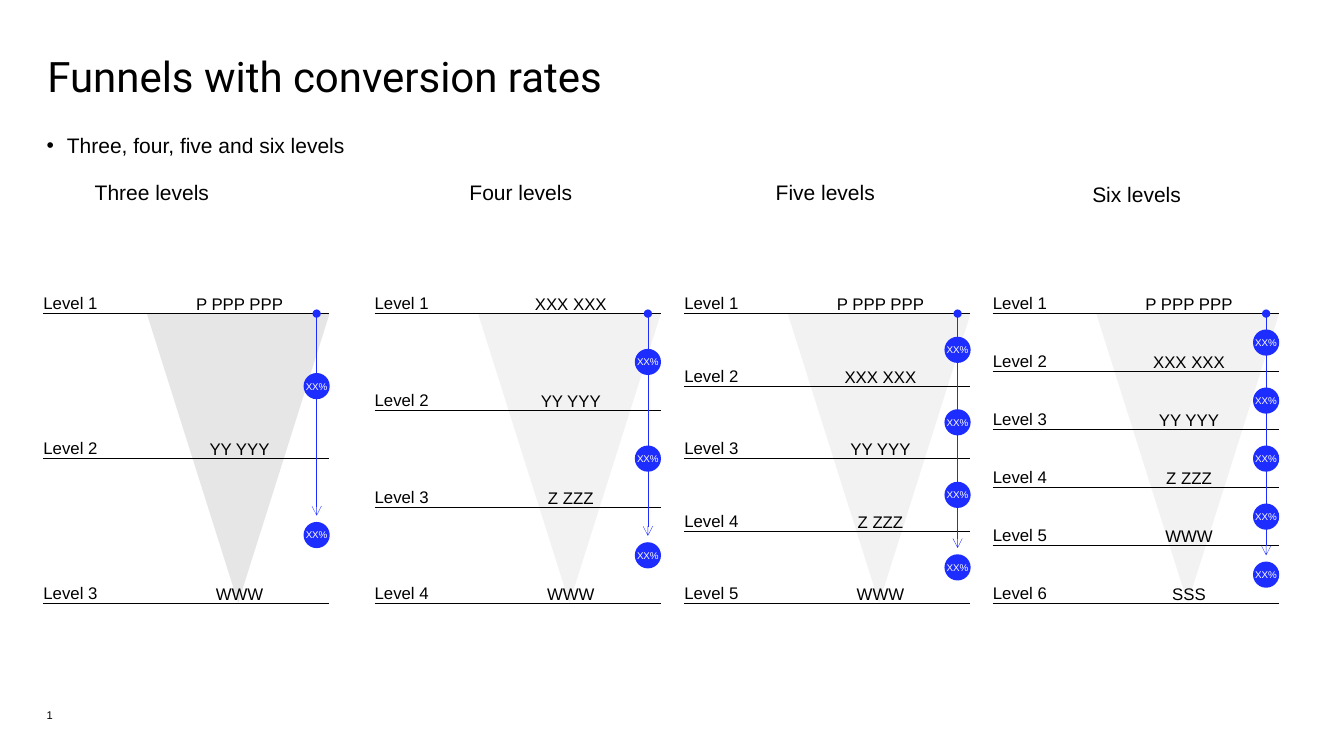
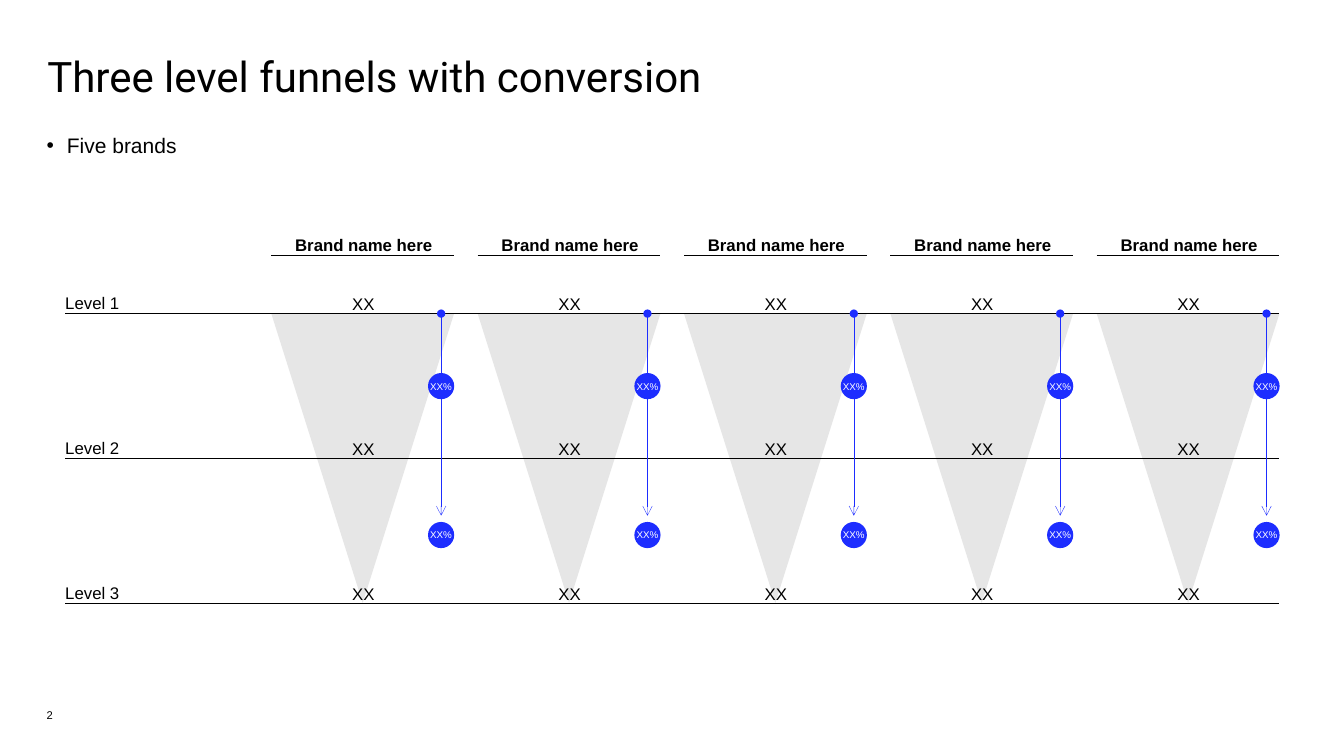
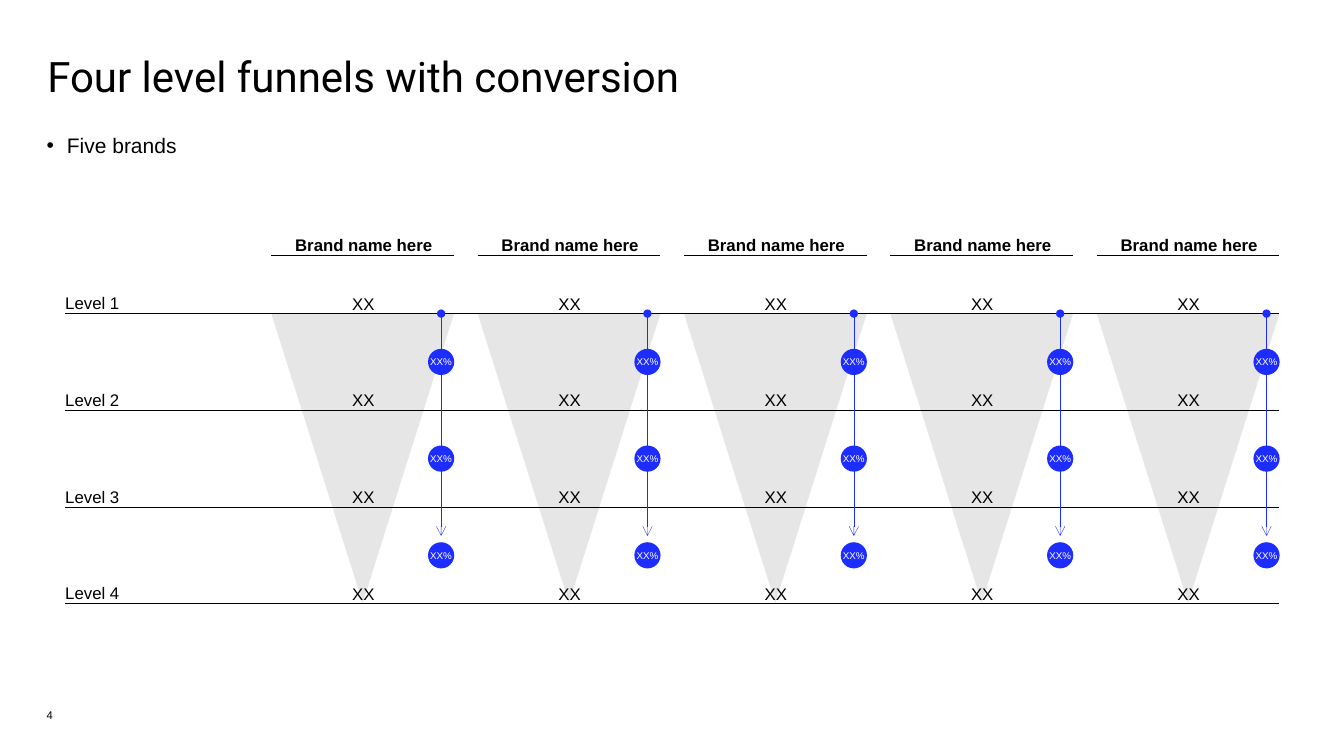
from dataclasses import dataclass

from lxml.etree import SubElement
from pptx import Presentation
from pptx.dml.color import RGBColor
from pptx.enum.shapes import MSO_CONNECTOR, MSO_SHAPE
from pptx.enum.text import MSO_ANCHOR, MSO_AUTO_SIZE, PP_ALIGN
from pptx.oxml.ns import qn
from pptx.util import Pt

LEFT, CENTER = PP_ALIGN.LEFT, PP_ALIGN.CENTER
TOP, MIDDLE, BOTTOM = MSO_ANCHOR.TOP, MSO_ANCHOR.MIDDLE, MSO_ANCHOR.BOTTOM
NO_AUTOFIT = MSO_AUTO_SIZE.NONE
STRAIGHT = MSO_CONNECTOR.STRAIGHT
TRIANGLE, OVAL = MSO_SHAPE.ISOSCELES_TRIANGLE, MSO_SHAPE.OVAL

BLACK, WHITE, BLUE = "000000", "FFFFFF", "1D2DFF"
GREY, LIGHT_GREY = "E6E6E6", "F2F2F2"
TITLE_FONT, BODY_FONT = "Roboto", "Arial"
PLAIN_TABLE_STYLE = "{2D5ABB26-0587-4C30-8999-92F81FD0307C}"

FUNNEL_TOP, FUNNEL_BOTTOM = 224, 431.2
FUNNEL_WIDTH, FUNNEL_HEIGHT = 130.5, 206.6
ARROW_OFFSET, ARROW_GAP = 121.3, 4.5
RATE_SIZE = 18.7
LAST_RATE_DROP = {3: 2.8}
LABEL_WIDTH, LABEL_HEIGHT = 132, 14.4
LABEL_RISE, VALUE_RISE = 14.8, 14
COLUMN_WIDTH, COLUMN_FUNNEL_OFFSET = 204.2, 73.9
HEADING_WIDTH = 217
BRANDS, BRAND_LEFT, BRAND_PITCH = 5, 193.8, 147.4
BRAND_LINE = 182.2
GRID_LEFT, GRID_RIGHT = 46.6, 913.8
TABLE_LEFT = 185.8


@dataclass(frozen=True)
class FunnelColumn:
    """A funnel with its heading and the value on each level."""
    heading: str
    heading_left: float
    heading_top: float
    left: float
    fill: str
    values: tuple[str, ...]


@dataclass(frozen=True)
class BrandComparison:
    """A slide that compares brands on equal funnels."""
    title: str
    page: str
    levels: int


COLUMNS = (
    FunnelColumn("Three levels", 0, 128.3, 31, GREY, ("P PPP PPP", "YY YYY", "WWW")),
    FunnelColumn("Four levels", 263.5, 128.3, 267.6, LIGHT_GREY,
                 ("XXX XXX", "YY YYY", "Z ZZZ", "WWW")),
    FunnelColumn("Five levels", 481, 127.9, 488.8, LIGHT_GREY,
                 ("P PPP PPP", "XXX XXX", "YY YYY", "Z ZZZ", "WWW")),
    FunnelColumn("Six levels", 703.4, 129.8, 709.2, LIGHT_GREY,
                 ("P PPP PPP", "XXX XXX", "YY YYY", "Z ZZZ", "WWW", "SSS")),
)
COMPARISONS = (
    BrandComparison("Three level funnels with conversion", "2", 3),
    BrandComparison("Four level funnels with conversion", "4", 4),
)


def rgb(color: str) -> RGBColor:
    """Turn a hex string into a colour."""
    return RGBColor.from_string(color)


def level_step(levels: int) -> float:
    """Return the distance between two levels."""
    return (FUNNEL_BOTTOM - FUNNEL_TOP) / (levels - 1)


def level_lines(levels: int) -> list[float]:
    """Return the height of every level line."""
    return [FUNNEL_TOP + i * level_step(levels) for i in range(levels)]


def place(shape, left: float, top: float, width: float, height: float) -> None:
    """Move and size a shape."""
    shape.left, shape.top = Pt(left), Pt(top)
    shape.width, shape.height = Pt(width), Pt(height)


def write(frame, text: str, size: float, align=LEFT, color: str = BLACK,
          font: str = BODY_FONT, bold: bool = False):
    """Write one run into the first paragraph of a frame and return the paragraph."""
    paragraph = frame.paragraphs[0]
    paragraph.alignment = align
    run = paragraph.add_run()
    run.text = text
    run.font.size = Pt(size)
    run.font.name = font
    run.font.bold = bold
    run.font.color.rgb = rgb(color)
    return paragraph


def set_frame(frame, anchor=TOP, wrap: bool = True) -> None:
    """Give a text frame no margins, a fixed size and an anchor."""
    frame.margin_left = frame.margin_right = frame.margin_top = frame.margin_bottom = 0
    frame.auto_size = NO_AUTOFIT
    frame.word_wrap = wrap
    frame.vertical_anchor = anchor


def add_label(slide, text: str, left: float, top: float, width: float = LABEL_WIDTH,
              size: float = 12, align=LEFT, bold: bool = False) -> None:
    """Add a plain text box."""
    box = slide.shapes.add_textbox(Pt(left), Pt(top), Pt(width), Pt(LABEL_HEIGHT))
    set_frame(box.text_frame)
    write(box.text_frame, text, size, align, bold=bold)


def add_line(slide, x1: float, y1: float, x2: float, y2: float,
             color: str = BLACK, arrow: bool = False) -> None:
    """Add a hairline, with a dot and an arrowhead if it is an arrow."""
    line = slide.shapes.add_connector(STRAIGHT, Pt(x1), Pt(y1), Pt(x2), Pt(y2))
    line.line.width = Pt(0.25)
    line.line.color.rgb = rgb(color)
    properties = line.element.find(qn("p:spPr"))
    if arrow:
        outline = properties.find(qn("a:ln"))
        SubElement(outline, qn("a:headEnd"), type="oval")
        SubElement(outline, qn("a:tailEnd"), type="arrow")
    SubElement(properties, qn("a:effectLst"))


def add_filled(slide, preset, left: float, top: float, width: float, height: float, fill: str):
    """Add a preset shape with a flat fill and no outline."""
    shape = slide.shapes.add_shape(preset, Pt(left), Pt(top), Pt(width), Pt(height))
    shape.shadow.inherit = False
    shape.fill.solid()
    shape.fill.fore_color.rgb = rgb(fill)
    shape.line.fill.background()
    return shape


def add_funnel(slide, left: float, fill: str) -> None:
    """Add a triangle that points down."""
    funnel = add_filled(slide, TRIANGLE, left, FUNNEL_TOP, FUNNEL_WIDTH, FUNNEL_HEIGHT, fill)
    funnel.rotation = 180


def add_conversion(slide, funnel_left: float, levels: int) -> None:
    """Add the arrow and a rate halfway between each pair of levels."""
    x = funnel_left + ARROW_OFFSET
    centers = [y + level_step(levels) / 2 for y in level_lines(levels)[:-1]]
    centers[-1] += LAST_RATE_DROP.get(levels, 0)
    arrow_end = centers[-1] - RATE_SIZE / 2 - ARROW_GAP
    add_line(slide, x, FUNNEL_TOP, x, arrow_end, BLUE, arrow=True)
    for center in centers:
        rate = add_filled(slide, OVAL, x - RATE_SIZE / 2, center - RATE_SIZE / 2,
                          RATE_SIZE, RATE_SIZE, BLUE)
        set_frame(rate.text_frame, MIDDLE, wrap=False)
        write(rate.text_frame, "XX%", 7, CENTER, WHITE)


def add_levels(slide, left: float, right: float, levels: int) -> None:
    """Add the numbered level lines."""
    for number, y in enumerate(level_lines(levels), 1):
        add_line(slide, left, y, right, y)
        add_label(slide, f"Level {number}", left, y - LABEL_RISE)


def add_values_table(slide, levels: int) -> None:
    """Add the clear table with a value for each brand and level."""
    step = level_step(levels)
    heights = [step / 4] + [step] * (levels - 1)
    graphic = slide.shapes.add_table(levels, BRANDS, Pt(TABLE_LEFT), Pt(FUNNEL_TOP - heights[0]),
                                     Pt(BRANDS * BRAND_PITCH), Pt(sum(heights)))
    next(graphic.element.iter(qn("a:tableStyleId"))).text = PLAIN_TABLE_STYLE
    table = graphic.table
    table.first_row = table.horz_banding = False
    for column in table.columns:
        column.width = Pt(BRAND_PITCH)
    for row, height in zip(table.rows, heights):
        row.height = Pt(height)
        for cell in row.cells:
            cell.fill.background()
            cell.margin_left = cell.margin_right = Pt(7.2)
            cell.margin_top, cell.margin_bottom = Pt(2.9), 0
            cell.vertical_anchor = BOTTOM
            write(cell.text_frame, "XX", 12, CENTER)


def add_page(deck, title: str, subtitle: str, page: str):
    """Add a slide with its title, bullet and page number."""
    slide = deck.slides.add_slide(deck.slide_layouts[1])
    heading, body = slide.shapes.title, slide.placeholders[1]
    place(heading, 33.8, 40.3, 892.8, 34.6)
    set_frame(heading.text_frame)
    write(heading.text_frame, title, 30, font=TITLE_FONT).line_spacing = 0.9
    place(body, 33.4, 95, 630.7, 34.6)
    set_frame(body.text_frame)
    bullet = write(body.text_frame, subtitle, 15)
    bullet.space_before, bullet.space_after = Pt(0), Pt(10)
    properties = bullet._p.get_or_add_pPr()
    properties.set("marL", str(Pt(14.4)))
    properties.set("indent", str(Pt(-14.4)))
    SubElement(properties, qn("a:buFont"), typeface=BODY_FONT)
    SubElement(properties, qn("a:buChar"), char="•")
    add_label(slide, page, 33.4, 506.2, width=51, size=8)
    return slide


def draw_overview(deck) -> None:
    """Draw the funnels with three to six levels side by side."""
    slide = add_page(deck, "Funnels with conversion rates",
                     "Three, four, five and six levels", "1")
    for column in COLUMNS:
        levels = len(column.values)
        funnel_left = column.left + COLUMN_FUNNEL_OFFSET
        add_label(slide, column.heading, column.heading_left, column.heading_top,
                  HEADING_WIDTH, 15, CENTER)
        add_funnel(slide, funnel_left, column.fill)
        add_levels(slide, column.left, column.left + COLUMN_WIDTH, levels)
        for value, y in zip(column.values, level_lines(levels)):
            add_label(slide, value, funnel_left + 1, y - VALUE_RISE, FUNNEL_WIDTH, align=CENTER)
        add_conversion(slide, funnel_left, levels)


def draw_comparison(deck, comparison: BrandComparison) -> None:
    """Draw one funnel for each brand over shared levels."""
    slide = add_page(deck, comparison.title, "Five brands", comparison.page)
    lefts = [BRAND_LEFT + i * BRAND_PITCH for i in range(BRANDS)]
    for left in lefts:
        add_funnel(slide, left, GREY)
    add_values_table(slide, comparison.levels)
    add_levels(slide, GRID_LEFT, GRID_RIGHT, comparison.levels)
    for left in lefts:
        add_line(slide, left, BRAND_LINE, left + FUNNEL_WIDTH, BRAND_LINE)
        add_label(slide, "Brand name here", left, BRAND_LINE - LABEL_HEIGHT,
                  align=CENTER, bold=True)
        add_conversion(slide, left, comparison.levels)


def main() -> None:
    """Build and save the deck."""
    deck = Presentation()
    deck.slide_width, deck.slide_height = Pt(960), Pt(540)
    draw_overview(deck)
    for comparison in COMPARISONS:
        draw_comparison(deck, comparison)
    deck.save("out.pptx")


if __name__ == "__main__":
    main()
